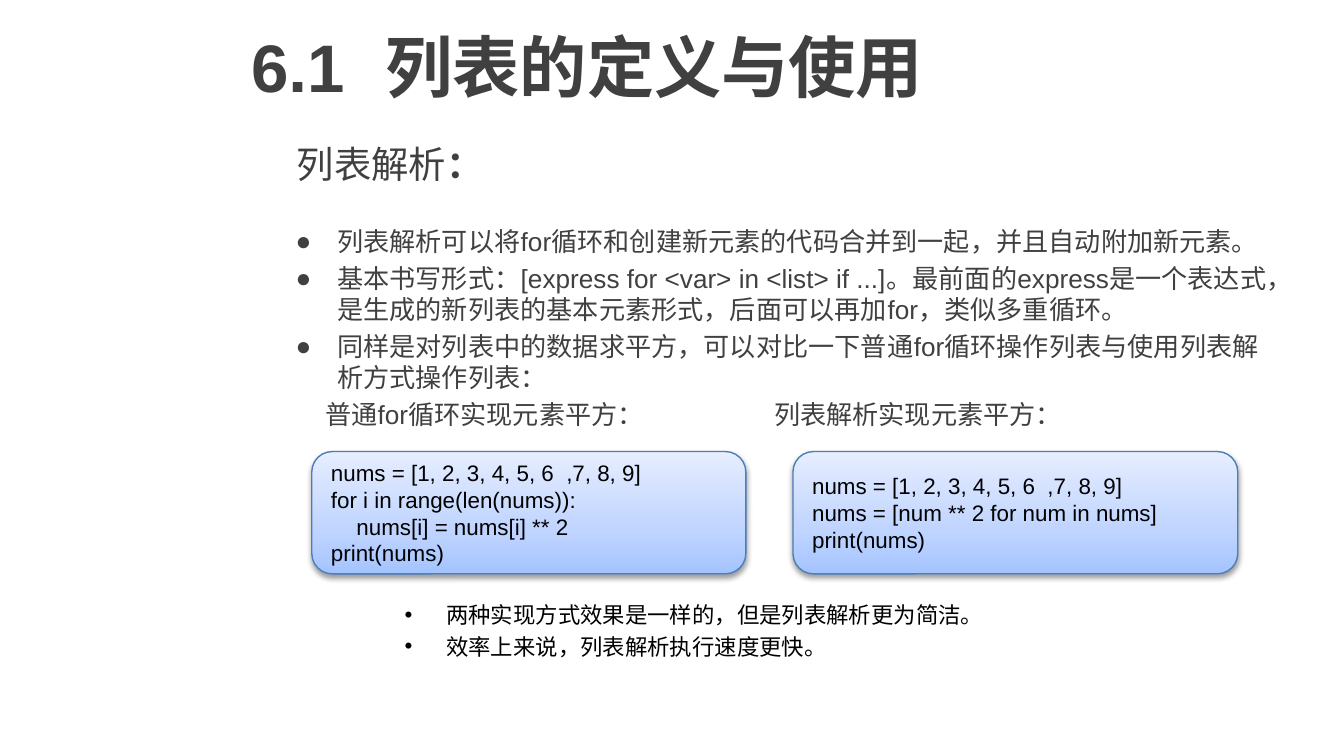
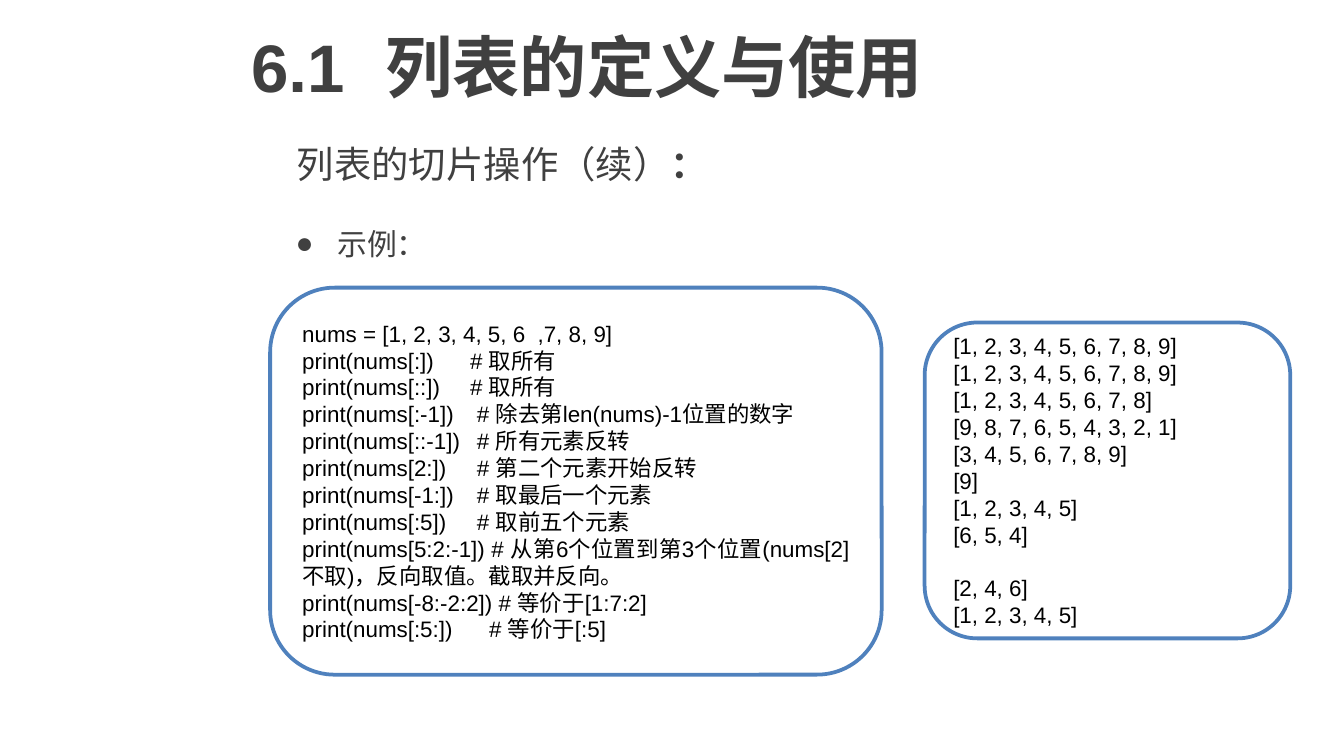
from lxml import etree
from pptx import Presentation
from pptx.dml.color import RGBColor
from pptx.enum.shapes import MSO_SHAPE
from pptx.enum.text import MSO_ANCHOR, PP_ALIGN
from pptx.oxml.ns import qn
from pptx.util import Emu, Pt

ROUND = MSO_SHAPE.ROUNDED_RECTANGLE
MIDDLE, TOP = MSO_ANCHOR.MIDDLE, MSO_ANCHOR.TOP
LEFT, JUSTIFY = PP_ALIGN.LEFT, PP_ALIGN.JUSTIFY

PX = 9144  # 100 px to the inch
FONT = "Arial"
COLORS = {
    "paper": "FFFFFF", "text": "404040", "code": "000000",
    "edge": "4B7EBC", "frame": "4F81BD",
    "deep": "A4C4FF", "mid": "BFD4FF", "pale": "E6EEFF",
}
BLEND = [(0, "deep"), (35, "mid"), (100, "pale")]
HANG = 31  # bullet to text

NUMS = "nums = [1, 2, 3, 4, 5, 6  ,7, 8, 9]"


def px(n):
    return Emu(n * PX)


def rgb(name):
    return RGBColor.from_string(COLORS[name])


def node(parent, tag, **attrs):
    """Add a child in the drawing namespace."""
    item = etree.SubElement(parent, qn("a:" + tag))
    for key, val in attrs.items():
        item.set(key, str(val))
    return item


# Text
def write(frame, text, size=12, color="text", bold=False, tail="", align=LEFT,
          before=0, bullet="", margin=0, tabs=()):
    """Write one paragraph; tail is a closing run in bold."""
    par = frame.paragraphs[0]
    if par.runs:
        par = frame.add_paragraph()
    par.alignment = align
    par.space_before = Pt(before)
    props = par._p.get_or_add_pPr()
    if margin:
        props.set("marL", str(px(margin)))
    if bullet:
        props.set("indent", str(px(-HANG)))
        node(props, "buFont", typeface=FONT)
        node(props, "buChar", char=bullet)
    if tabs:
        stops = node(props, "tabLst")
        for stop in tabs:
            node(stops, "tab", pos=px(stop), algn="l")
    for part, heavy in ((text, bold), (tail, True)):
        if not part:
            continue
        run = par.add_run()
        run.text = part
        font = run.font
        font.name, font.size, font.bold = FONT, Pt(size), heavy
        font.color.rgb = rgb(color)
        rpr = run._r.get_or_add_rPr()
        rpr.set("lang", "zh-CN")
        node(rpr, "ea", typeface=FONT)


def box(slide, x, y, w, h, anchor=TOP, inset=10):
    frame = slide.shapes.add_textbox(px(x), px(y), px(w), px(h)).text_frame
    frame.word_wrap = True
    frame.vertical_anchor = anchor
    frame.margin_left = px(inset)
    return frame


def points(frame, lines, **style):
    for line in lines:
        write(frame, line, bullet="●", margin=HANG, before=2.8, **style)


# Code panels
def panel(slide, x, y, w, h, edge, width):
    shape = slide.shapes.add_shape(ROUND, px(x), px(y), px(w), px(h))
    shape.shadow.inherit = False
    shape.fill.solid()
    shape.fill.fore_color.rgb = rgb("paper")
    shape.line.color.rgb = rgb(edge)
    shape.line.width = Pt(width)
    shape.text_frame.word_wrap = True
    shape.text_frame.vertical_anchor = MIDDLE
    return shape


def glow(shape):
    """Give a panel its blue blend and soft shadow."""
    shape.fill.gradient()
    shape.fill.gradient_angle = 90
    props = shape._element.spPr
    stops = props.find(".//" + qn("a:gsLst"))
    for old in list(stops):
        stops.remove(old)
    for pos, name in BLEND:
        node(node(stops, "gs", pos=pos * 1000), "srgbClr", val=COLORS[name])
    cast = node(props.find(qn("a:effectLst")), "outerShdw", blurRad=Pt(3.1),
                dist=Pt(1.6), dir=90 * 60000, rotWithShape=0)
    node(node(cast, "srgbClr", val="000000"), "alpha", val=38000)


def code(shape, lines):
    """Each line is text, or text with its own format."""
    for line in lines:
        text, extra = (line, {}) if isinstance(line, str) else line
        write(shape.text_frame, text, color="code", align=JUSTIFY, **extra)


def note(call, remark, stop=130):
    """A call with its remark set at a tab stop."""
    return f"{call}\t# {remark}", {"tabs": [stop]}


# Shared slide frame
def page(deck, topic):
    slide = deck.slides.add_slide(deck.slide_layouts[6])
    title = box(slide, 177, 0, 823, 97, MIDDLE)
    write(title, "6.1 \t列表的定义与使用", size=36, bold=True, tabs=[100])
    head = box(slide, 211, 97, 756, 50, MIDDLE)
    write(head, topic, size=20, tail="：", before=4)
    return slide


def compare(deck):
    slide = page(deck, "列表解析")
    body = box(slide, 177, 163, 780, 328, inset=43)
    points(body, [
        "列表解析可以将for循环和创建新元素的代码合并到一起，并且自动附加新元素。",
        "基本书写形式：[express for <var> in <list> if ...]。最前面的express是一个"
        "表达式，是生成的新列表的基本元素形式，后面可以再加for，类似多重循环。",
        "同样是对列表中的数据求平方，可以对比一下普通for循环操作列表与使用列表解析"
        "方式操作列表：",
    ], size=14)
    write(body, "\t普通for循环实现元素平方：\t列表解析实现元素平方：",
          size=14, before=2.8, tabs=[22, 356])
    # Closing remarks, below the panels
    for text, gap in (("两种实现方式效果是一样的，但是列表解析更为简洁。", 92),
                      ("效率上来说，列表解析执行速度更快。", 2.4)):
        write(body, text, color="code", bullet="•", margin=112, before=gap)

    loop = [NUMS, "for i in range(len(nums)):",
            ("nums[i] = nums[i] ** 2", {"margin": 19}), "print(nums)"]
    short = [NUMS, "nums = [num ** 2 for num in nums]", "print(nums)"]
    for x, w, lines in ((232, 323, loop), (590, 331, short)):
        shape = panel(slide, x, 336, w, 91, "edge", 0.75)
        glow(shape)
        code(shape, lines)


def slices(deck):
    slide = page(deck, "列表的切片操作（续）")
    points(box(slide, 177, 163, 756, 328, inset=43), ["示例："], size=16)

    calls = panel(slide, 201, 214, 455, 288, "frame", 2)
    code(calls, [
        NUMS,
        note("print(nums[:])", "取所有", 125),
        note("print(nums[::])", "取所有", 125),
        note("print(nums[:-1])", "除去第len(nums)-1位置的数字"),
        note("print(nums[::-1])", "所有元素反转"),
        note("print(nums[2:])", "第二个元素开始反转"),
        note("print(nums[-1:])", "取最后一个元素"),
        note("print(nums[:5])", "取前五个元素"),
        "print(nums[5:2:-1]) # 从第6个位置到第3个位置(nums[2]不取)，反向取值。"
        "截取并反向。",
        "print(nums[-8:-2:2]) # 等价于[1:7:2]",
        note("print(nums[:5:])", "等价于[:5]", 139),
    ])

    result = panel(slide, 688, 240, 272, 235, "frame", 2)
    code(result, [
        "[1, 2, 3, 4, 5, 6, 7, 8, 9]",
        "[1, 2, 3, 4, 5, 6, 7, 8, 9]",
        "[1, 2, 3, 4, 5, 6, 7, 8]",
        "[9, 8, 7, 6, 5, 4, 3, 2, 1]",
        "[3, 4, 5, 6, 7, 8, 9]",
        "[9]",
        "[1, 2, 3, 4, 5]",
        "[6, 5, 4]",
        ("[2, 4, 6]", {"before": 14.4}),
        "[1, 2, 3, 4, 5]",
    ])


def main():
    deck = Presentation()
    deck.slide_width = px(1000)
    deck.slide_height = px(1000) * 9 // 16
    compare(deck)
    slices(deck)
    deck.save("out.pptx")


if __name__ == "__main__":
    main()
